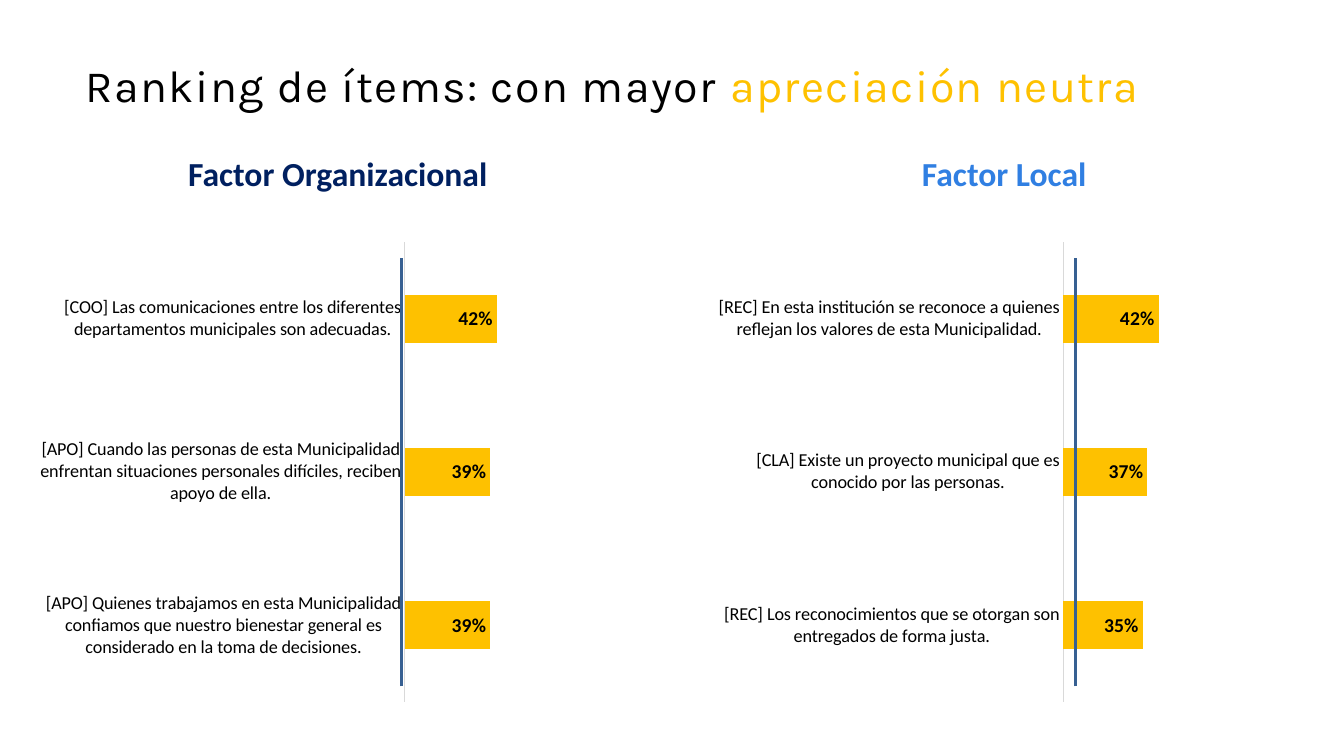
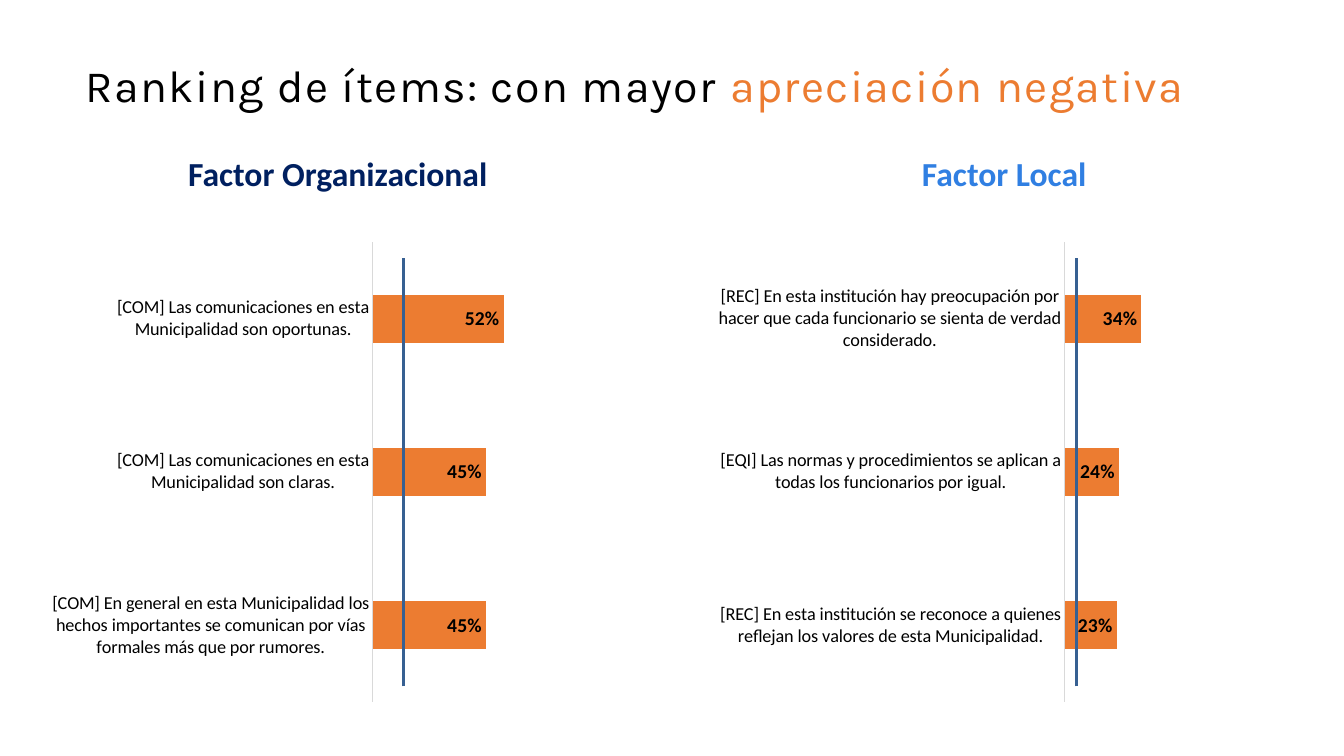
from dataclasses import dataclass
from typing import Optional

from lxml.etree import SubElement
from pptx import Presentation
from pptx.chart.chart import Chart
from pptx.chart.data import CategoryChartData
from pptx.dml.color import RGBColor
from pptx.enum.chart import XL_CHART_TYPE, XL_LABEL_POSITION, XL_TICK_LABEL_POSITION, XL_TICK_MARK
from pptx.enum.shapes import MSO_CONNECTOR
from pptx.enum.text import MSO_ANCHOR, PP_ALIGN
from pptx.oxml.ns import qn
from pptx.slide import Slide
from pptx.text.text import Font
from pptx.util import Inches, Pt

BLACK = RGBColor(0x00, 0x00, 0x00)
WHITE = RGBColor(0xFF, 0xFF, 0xFF)
NAVY = RGBColor(0x00, 0x20, 0x60)
BLUE = RGBColor(0x30, 0x7F, 0xE2)
STEEL = RGBColor(0x37, 0x60, 0x92)
GREY = RGBColor(0xD9, 0xD9, 0xD9)
YELLOW = RGBColor(0xFE, 0xC1, 0x00)
ORANGE = RGBColor(0xEC, 0x7C, 0x31)

TITLE_FONT = "Karla"
BODY_FONT = "Calibri"
TITLE_START = "Ranking de ítems: con mayor "


@dataclass(frozen=True)
class Factor:
    name: str
    color: RGBColor
    head_left: float
    chart_left: float


@dataclass(frozen=True)
class Item:
    text: str
    share: float


@dataclass(frozen=True)
class Panel:
    factor: Factor
    line_x: float
    items: list[Item]  # highest share first
    plot_x: Optional[float] = None  # fraction of the chart's width


@dataclass(frozen=True)
class Ranking:
    view: str
    color: RGBColor
    panels: list[Panel]


ORG = Factor("Factor Organizacional", NAVY, 0.83, 0.4)
LOCAL = Factor("Factor Local", BLUE, 7.44, 7.01)

RANKINGS = [
    Ranking("apreciación neutra", YELLOW, [
        Panel(ORG, 3.98, [
            Item("[COO] Las comunicaciones entre los diferentes departamentos "
                 "municipales son adecuadas.", 0.42),
            Item("[APO] Cuando las personas de esta Municipalidad enfrentan "
                 "situaciones personales difíciles, reciben apoyo de ella.", 0.39),
            Item("[APO] Quienes trabajamos en esta Municipalidad confiamos que nuestro "
                 "bienestar general es considerado en la toma de decisiones.", 0.39),
        ], plot_x=0.61),
        Panel(LOCAL, 10.67, [
            Item("[REC] En esta institución se reconoce a quienes reflejan "
                 "los valores de esta Municipalidad.", 0.42),
            Item("[CLA] Existe un proyecto municipal que es conocido "
                 "por las personas.", 0.37),
            Item("[REC] Los reconocimientos que se otorgan son entregados "
                 "de forma justa.", 0.35),
        ]),
    ]),
    Ranking("apreciación negativa", ORANGE, [
        Panel(ORG, 4, [
            Item("[COM] Las comunicaciones en esta Municipalidad son oportunas.", 0.52),
            Item("[COM] Las comunicaciones en esta Municipalidad son claras.", 0.45),
            Item("[COM] En general en esta Municipalidad los hechos importantes "
                 "se comunican por vías formales más que por rumores.", 0.45),
        ]),
        Panel(LOCAL, 10.68, [
            Item("[REC] En esta institución hay preocupación por hacer que cada "
                 "funcionario se sienta de verdad considerado.", 0.34),
            Item("[EQI] Las normas y procedimientos se aplican a todas "
                 "los funcionarios por igual.", 0.24),
            Item("[REC] En esta institución se reconoce a quienes reflejan "
                 "los valores de esta Municipalidad.", 0.23),
        ]),
    ]),
]


def set_font(font: Font, name: str, size: float, color: RGBColor, bold: bool = False) -> None:
    font.name = name
    font.size = Pt(size)
    font.bold = bold
    font.color.rgb = color


def add_title(slide: Slide, ranking: Ranking) -> None:
    title = slide.shapes.title
    title.left, title.top = Inches(0.85), Inches(0.34)
    title.width, title.height = Inches(11.78), Inches(1.06)
    frame = title.text_frame
    frame.margin_left = frame.margin_right = frame.margin_top = frame.margin_bottom = 0
    frame.vertical_anchor = MSO_ANCHOR.MIDDLE
    para = frame.paragraphs[0]
    para.alignment = PP_ALIGN.LEFT
    para.line_spacing = 0.9
    for text, color in ((TITLE_START, BLACK), (ranking.view, ranking.color)):
        run = para.add_run()
        run.text = text
        set_font(run.font, TITLE_FONT, 32, color)
        run._r.get_or_add_rPr().set("spc", "100")


def add_head(slide: Slide, factor: Factor) -> None:
    box = slide.shapes.add_textbox(Inches(factor.head_left), Inches(1.58), Inches(5.04), Inches(0.33))
    frame = box.text_frame
    frame.word_wrap = True
    frame.vertical_anchor = MSO_ANCHOR.MIDDLE
    para = frame.paragraphs[0]
    para.alignment = PP_ALIGN.CENTER
    para.line_spacing = 0.9
    run = para.add_run()
    run.text = factor.name
    set_font(run.font, BODY_FONT, 24, factor.color, bold=True)


def place_plot(chart: Chart, x: float) -> None:
    """Fix the inner plot area, starting at x; all values are fractions of the chart."""
    area = chart._chartSpace.chart.plotArea
    layout = area.find(qn("c:layout"))
    if layout is None:
        layout = SubElement(area, qn("c:layout"))
        area.insert(0, layout)
    manual = SubElement(layout, qn("c:manualLayout"))
    settings = {"layoutTarget": "inner", "xMode": "edge", "yMode": "edge",
                "x": x, "y": 0.02, "w": round(0.98 - x, 2), "h": 0.96}
    for tag, value in settings.items():
        SubElement(manual, qn(f"c:{tag}")).set("val", str(value))


def add_bars(slide: Slide, panel: Panel, color: RGBColor) -> None:
    """Draw the items as bars; the axis runs upwards, so the order is reversed."""
    items = panel.items[::-1]
    data = CategoryChartData(number_format="0%")
    data.categories = [item.text for item in items]
    data.add_series("Series 1", [item.share for item in items])
    chart = slide.shapes.add_chart(
        XL_CHART_TYPE.BAR_CLUSTERED, Inches(panel.factor.chart_left), Inches(2.31),
        Inches(5.91), Inches(4.75), data).chart
    chart.has_title = chart.has_legend = False
    set_font(chart.font, BODY_FONT, 10, WHITE)
    if panel.plot_x is not None:
        place_plot(chart, panel.plot_x)

    cats = chart.category_axis
    cats.major_tick_mark = cats.minor_tick_mark = XL_TICK_MARK.NONE
    cats.tick_label_position = XL_TICK_LABEL_POSITION.NEXT_TO_AXIS
    cats.format.line.color.rgb = GREY
    cats.format.line.width = Pt(0.75)
    set_font(cats.tick_labels.font, BODY_FONT, 13, BLACK)

    scale = chart.value_axis
    scale.minimum_scale, scale.maximum_scale = 0, 1
    scale.major_tick_mark = scale.minor_tick_mark = XL_TICK_MARK.NONE
    scale.has_major_gridlines = False
    scale.visible = False

    plot = chart.plots[0]
    plot.gap_width = 219
    plot.vary_by_categories = False
    fill = plot.series[0].format.fill
    fill.solid()
    fill.fore_color.rgb = color
    labels = plot.series[0].data_labels
    labels.show_value = True
    labels.position = XL_LABEL_POSITION.INSIDE_END
    labels.number_format = "0%"
    labels.number_format_is_linked = False
    set_font(labels.font, BODY_FONT, 14, BLACK, bold=True)


def add_line(slide: Slide, x: float) -> None:
    line = slide.shapes.add_connector(
        MSO_CONNECTOR.STRAIGHT, Inches(x), Inches(6.81), Inches(x), Inches(2.56))
    line.line.color.rgb = STEEL
    line.line.width = Pt(2)
    SubElement(line._element.spPr, qn("a:effectLst"))


def main() -> None:
    deck = Presentation()
    deck.slide_width, deck.slide_height = Inches(13.33), Inches(7.5)
    layout = deck.slide_layouts.get_by_name("Title Only")
    for ranking in RANKINGS:
        slide = deck.slides.add_slide(layout)
        add_title(slide, ranking)
        for panel in ranking.panels:
            add_head(slide, panel.factor)
            add_bars(slide, panel, ranking.color)
            add_line(slide, panel.line_x)
    deck.save("out.pptx")


if __name__ == "__main__":
    main()
